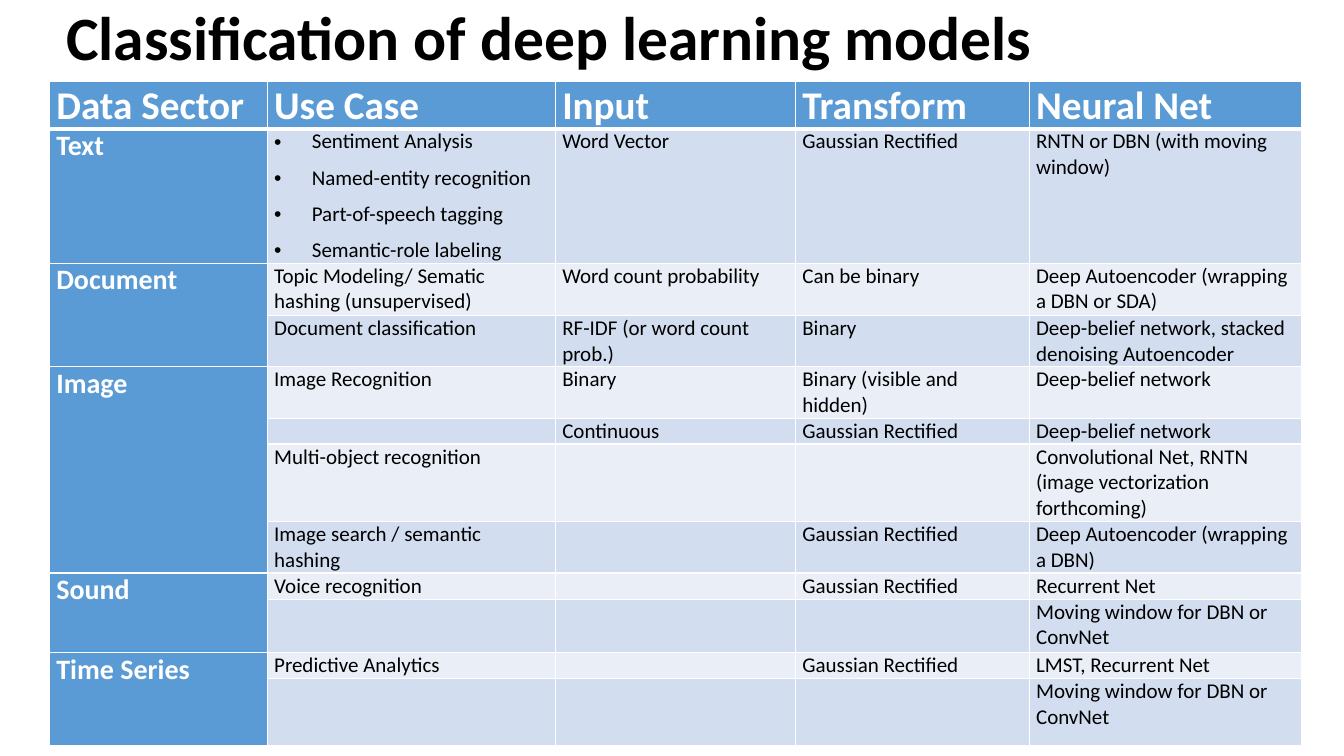
import pptx
import pptx.util
import pptx.dml.color
import pptx.enum.text
import pptx.oxml.ns
import lxml.etree

Cm, Pt = pptx.util.Cm, pptx.util.Pt

TITLE = "Classification of deep learning models"
HEADS = ["Data Sector", "Use Case", "Input", "Transform", "Neural Net"]
TASKS = ["Sentiment Analysis", "Named-entity recognition",
         "Part-of-speech tagging", "Semantic-role labeling"]
GAUSS = "Gaussian Rectified"
BELIEF = "Deep-belief network"
MOVING = "Moving window for DBN or ConvNet"
# Each sector spans all of its rows: use case, input, transform, neural net
SECTORS = [
    ("Text", [
        (TASKS, "Word Vector", GAUSS, "RNTN or DBN (with moving window)")]),
    ("Document", [
        ("Topic Modeling/ Sematic hashing (unsupervised)",
         "Word count probability", "Can be binary",
         "Deep Autoencoder (wrapping a DBN or SDA)"),
        ("Document classification", "RF-IDF (or word count prob.)", "Binary",
         "Deep-belief network, stacked denoising Autoencoder")]),
    ("Image", [
        ("Image Recognition", "Binary", "Binary (visible and hidden)", BELIEF),
        ("", "Continuous", GAUSS, BELIEF),
        ("Multi-object recognition", "", "",
         "Convolutional Net, RNTN (image vectorization forthcoming)"),
        ("Image search / semantic hashing", "", GAUSS,
         "Deep Autoencoder (wrapping a DBN)")]),
    ("Sound", [
        ("Voice recognition", "", GAUSS, "Recurrent Net"),
        ("", "", "", MOVING)]),
    ("Time Series", [
        ("Predictive Analytics", "", GAUSS, "LMST, Recurrent Net"),
        ("", "", "", MOVING)]),
]
WIDTHS = [5.49, 7.26, 6.05, 5.89, 6.86]
HEIGHTS = [1.19, 3.38, 1.32, 1.29, 1.3, 0.65, 1.95, 1.3, 0.66, 1.34, 0.66, 1.68]
COLORS = {"head": "5B9BD5", "odd": "D2DEEF", "even": "EAEFF7",
          "white": "FFFFFF", "black": "000000"}
FONT = "Calibri"


def tint(name):
    return pptx.dml.color.RGBColor.from_string(COLORS[name])


def add_run(para, text, size, color, bold):
    run = para.add_run()
    run.text = text
    font = run.font
    font.name, font.size, font.bold = FONT, Pt(size), bold
    font.color.rgb = tint(color)


def add_node(parent, tag, **attrs):
    return lxml.etree.SubElement(parent, pptx.oxml.ns.qn(tag), attrs)


def add_edges(cell, row):
    """Draw white borders, thicker under the header row."""
    props = cell._tc.get_or_add_tcPr()
    for side in "LRTB":
        thick = (row, side) in [(0, "B"), (1, "T")]
        line = add_node(props, "a:ln" + side, w=str(Pt(3 if thick else 1)))
        fill = add_node(line, "a:solidFill")
        add_node(fill, "a:srgbClr", val=COLORS["white"])


def add_bullet(para):
    props = para._p.get_or_add_pPr()
    props.set("marL", str(Cm(0.95)))
    props.set("indent", str(-Cm(0.95)))
    add_node(props, "a:buFont", typeface="Arial")
    add_node(props, "a:buChar", char="•")


def fill_cell(cell, row, text, size, color, bold, back):
    add_edges(cell, row)
    cell.fill.solid()
    cell.fill.fore_color.rgb = tint(back)
    cell.margin_left = cell.margin_right = Cm(0.17)
    cell.margin_top = cell.margin_bottom = 0
    frame = cell.text_frame
    lines = text if isinstance(text, list) else [text]
    for i, line in enumerate(lines):
        para = frame.paragraphs[0] if i == 0 else frame.add_paragraph()
        para.space_after = Pt(7.5)
        if len(lines) > 1:
            add_bullet(para)
        if line:
            add_run(para, line, size, color, bold)
        else:
            add_node(para._p, "a:endParaRPr", sz=str(size * 100))


def add_title(slide):
    box = slide.shapes.add_textbox(Cm(1.42), 0, Cm(30.12), Cm(2.06))
    frame = box.text_frame
    frame.word_wrap = True
    frame.vertical_anchor = pptx.enum.text.MSO_ANCHOR.MIDDLE
    para = frame.paragraphs[0]
    para.line_spacing = 0.9
    add_run(para, TITLE, 44, "black", True)


def add_grid(slide):
    shape = slide.shapes.add_table(len(HEIGHTS), len(WIDTHS), Cm(1.25), Cm(2.06),
                                   Cm(sum(WIDTHS)), Cm(sum(HEIGHTS)))
    table = shape.table
    for col, width in zip(table.columns, WIDTHS):
        col.width = Cm(width)
    for row, height in zip(table.rows, HEIGHTS):
        row.height = Cm(height)
    for c, head in enumerate(HEADS):
        fill_cell(table.cell(0, c), 0, head, 28, "white", True, "head")
    r = 1
    for sector, cases in SECTORS:
        first = r
        for case in cases:
            name = sector if r == first else ""
            size = 20 if name else 15
            fill_cell(table.cell(r, 0), r, name, size, "white", True, "head")
            back = "odd" if r % 2 else "even"
            for c, text in enumerate(case, 1):
                fill_cell(table.cell(r, c), r, text, 15, "black", False, back)
            r += 1
        if len(cases) > 1:
            table.cell(first, 0).merge(table.cell(r - 1, 0))


def main():
    deck = pptx.Presentation()
    deck.slide_width, deck.slide_height = Cm(33.87), Cm(19.05)
    slide = deck.slides.add_slide(deck.slide_layouts[6])
    add_title(slide)
    add_grid(slide)
    deck.save("out.pptx")


if __name__ == "__main__":
    main()
